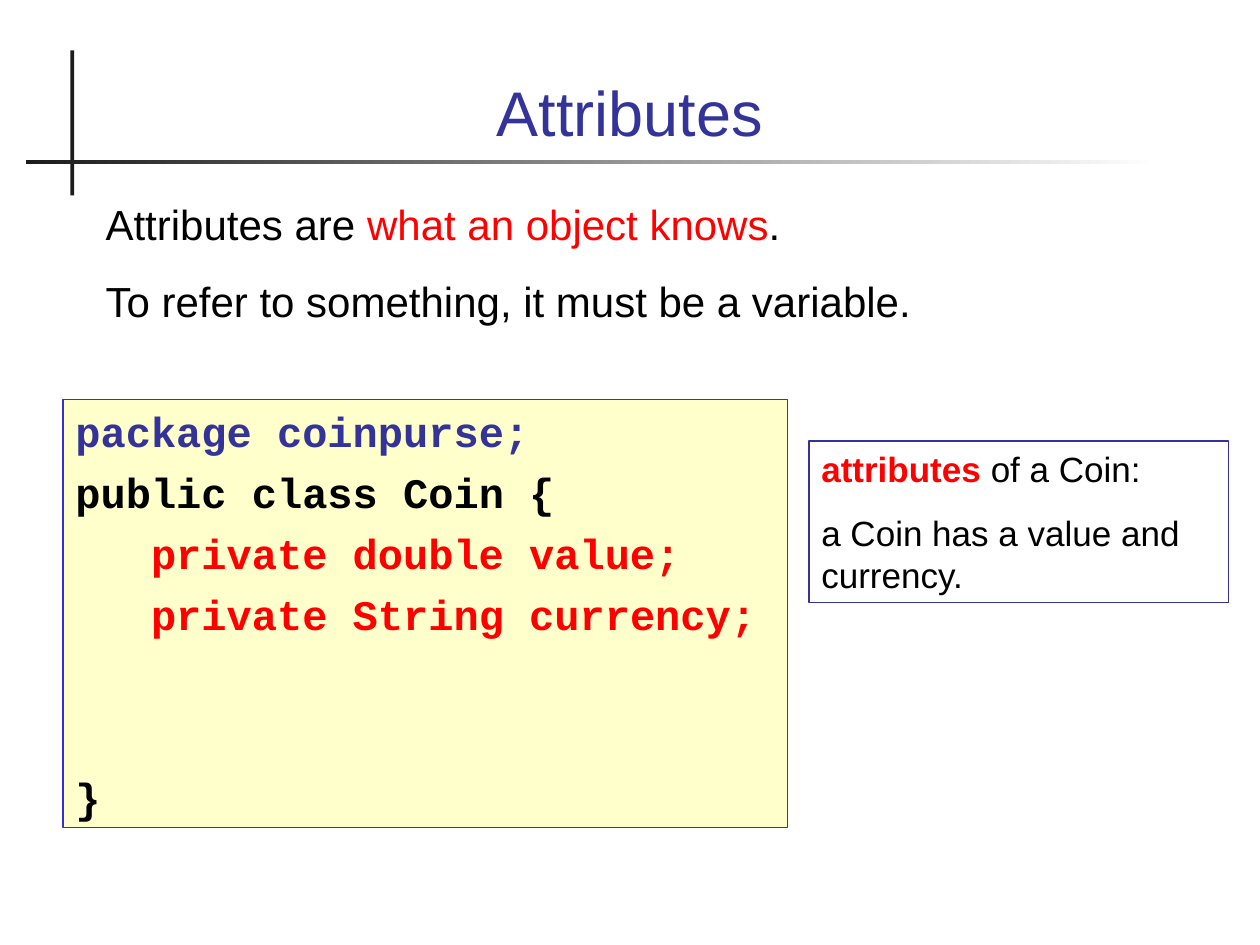
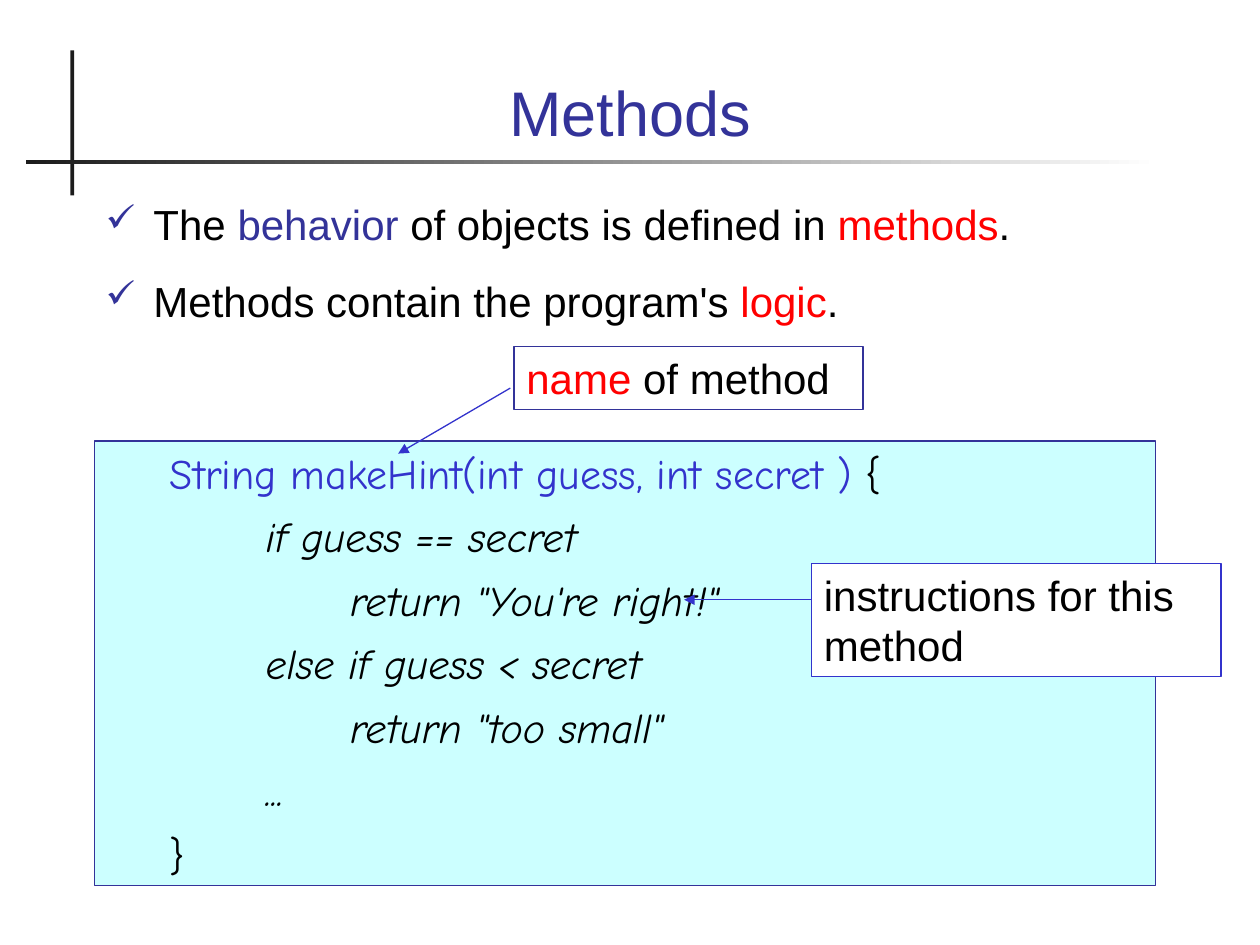
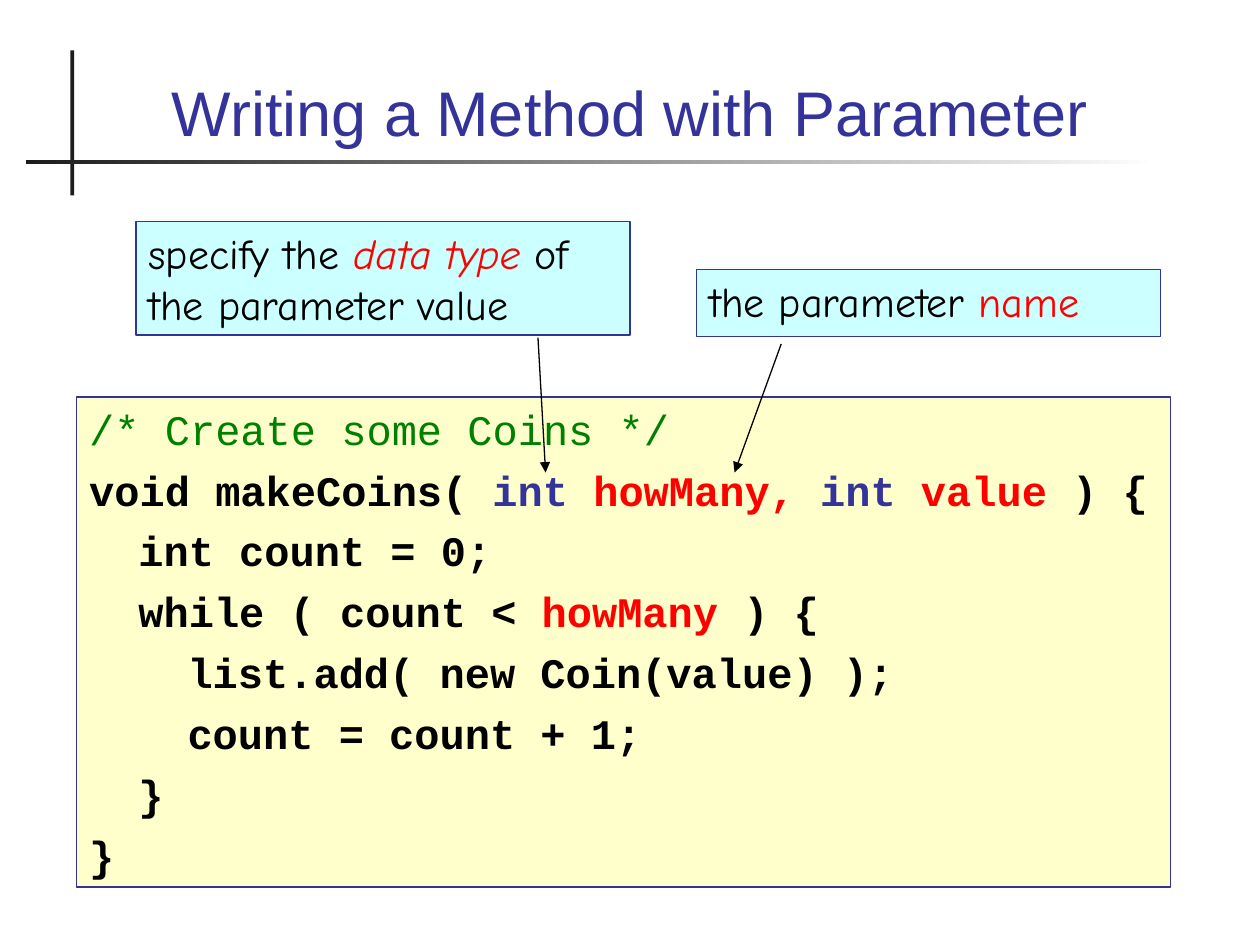
from lxml import etree
from pptx import Presentation
from pptx import util as u
from pptx.dml import color
from pptx.enum import shapes, text
from pptx.oxml import ns

COLORS = {
    "ink": "000000", "rail": "1C1C1C", "white": "FFFFFF", "navy": "333399",
    "blue": "3333CC", "red": "FF0000", "green": "008000",
    "cream": "FFFFCC", "aqua": "CCFFFF",
}
# Text styles: base font values plus the gap between paragraphs
TITLE = {"name": "Arial", "size": 36, "color": "navy", "gap": 0}
BODY = {"name": "Arial", "size": 24, "color": "ink", "gap": 15}
NOTE = {**BODY, "size": 20, "gap": 12.5}
CODE = {"name": "Courier New", "size": 24, "bold": True, "color": "ink", "gap": 6}
HAND = {"name": "Comic Neue", "size": 24, "color": "ink", "gap": 15}
LEADING = 1.2
LINE_WIDTH = 0.75


def rgb(name):
    return color.RGBColor.from_string(COLORS[name])


def add_xml(parent, tag, **attributes):
    return etree.SubElement(parent, ns.qn(tag), attributes)


def line(*spans, **layout):
    """One paragraph: spans are strings or (string, font values) pairs."""
    return [span if isinstance(span, tuple) else (span, {}) for span in spans], layout


def tint(words, name, **values):
    return words, {"color": name, **values}


class SlideBuilder:
    def __init__(self):
        self.deck = Presentation()
        self.deck.slide_width = u.Inches(10)
        self.deck.slide_height = u.Inches(7.5)
        self.page = None

    def new_page(self, title):
        self.page = self.deck.slides.add_slide(self.deck.slide_layouts[6])
        # Crossed rails beside and below the title
        self.rect(0.56, 0.4, 0.03, 1.15, fill="rail")
        rail = self.rect(0.21, 1.27, 8.99, 0.03)
        rail.fill.gradient()
        rail.fill.gradient_angle = 180
        for stop, name in zip(rail.fill.gradient_stops, ("white", "rail")):
            stop.color.rgb = rgb(name)
        box = self.text_box(0.67, 0.28, 8.66, 0.95, TITLE, [line(title)])
        box.text_frame.vertical_anchor = text.MSO_ANCHOR.BOTTOM
        box.text_frame.paragraphs[0].alignment = text.PP_ALIGN.CENTER

    def rect(self, left, top, width, height, fill=None, border=None):
        box = self.page.shapes.add_shape(
            shapes.MSO_SHAPE.RECTANGLE, *map(u.Inches, (left, top, width, height)))
        box.shadow.inherit = False
        if fill:
            box.fill.solid()
            box.fill.fore_color.rgb = rgb(fill)
        else:
            box.fill.background()
        if border:
            box.line.color.rgb = rgb(border)
            box.line.width = u.Pt(LINE_WIDTH)
        else:
            box.line.fill.background()
        return box

    def text_box(self, left, top, width, height, style, lines):
        box = self.page.shapes.add_textbox(*map(u.Inches, (left, top, width, height)))
        self.fill_text(box, style, lines)
        return box

    def panel(self, left, top, width, height, style, lines, fill=None, border="navy"):
        box = self.rect(left, top, width, height, fill, border)
        box.text_frame.vertical_anchor = text.MSO_ANCHOR.TOP
        self.fill_text(box, style, lines)

    def fill_text(self, box, style, lines):
        frame = box.text_frame
        frame.word_wrap = True
        for index, (spans, layout) in enumerate(lines):
            para = frame.add_paragraph() if index else frame.paragraphs[0]
            para.alignment = text.PP_ALIGN.LEFT
            para.line_spacing = u.Pt(style["size"] * LEADING)
            para.space_before = u.Pt(layout.get("gap", style["gap"]) if index else 0)
            if "indent" in layout:
                self.indent(para, layout["indent"])
            if layout.get("check"):
                self.check_mark(para)
            for words, changes in spans:
                span = para.add_run()
                span.text = words
                self.style_font(span.font, {**style, **changes})

    def style_font(self, font, values):
        font.color.rgb = rgb(values["color"])
        font.size = u.Pt(values["size"])
        for key in ("name", "bold", "italic"):
            setattr(font, key, values.get(key, False))

    def indent(self, para, margin, first=0):
        properties = para._p.get_or_add_pPr()
        properties.set("marL", str(u.Inches(margin)))
        properties.set("indent", str(u.Inches(first)))

    def check_mark(self, para):
        self.indent(para, 0.38, -0.38)
        properties = para._p.get_or_add_pPr()
        add_xml(add_xml(properties, "a:buClr"), "a:srgbClr", val=COLORS["navy"])
        add_xml(properties, "a:buSzPct", val="90000")
        add_xml(properties, "a:buChar", char="✓")

    def arrow(self, x1, y1, x2, y2, name):
        arrow = self.page.shapes.add_connector(
            shapes.MSO_CONNECTOR.STRAIGHT, *map(u.Inches, (x1, y1, x2, y2)))
        arrow.line.color.rgb = rgb(name)
        arrow.line.width = u.Pt(LINE_WIDTH)
        add_xml(arrow.line._get_or_add_ln(), "a:tailEnd", type="triangle")
        add_xml(arrow._element.spPr, "a:effectLst")


def attributes_page(builder):
    builder.new_page("Attributes")
    builder.panel(6.42, 3.5, 3.33, 1.28, NOTE, [
        line(tint("attributes", "red", bold=True), " of a Coin:"),
        line("a Coin has a value and currency."),
    ], fill="white")
    builder.text_box(0.74, 1.53, 8.66, 1.47, BODY, [
        line("Attributes are ", tint("what an object knows", "red"), "."),
        line("To refer to something, it must be a variable."),
    ])
    # The closing brace leaves room for two more lines of code
    room = 3 * CODE["gap"] + 2 * CODE["size"] * LEADING
    builder.panel(0.5, 3.17, 5.75, 3.4, CODE, [
        line(tint("package coinpurse;", "navy")),
        line("public class Coin {"),
        line("   ", tint("private double value;", "red")),
        line(tint("   private String currency;", "red")),
        line("}", gap=room),
    ], fill="cream", border="blue")


def methods_page(builder):
    builder.new_page("Methods")
    builder.text_box(0.74, 1.53, 8.66, 1.14, BODY, [
        line("The ", tint("behavior", "navy"), " of objects is defined in ",
             tint("methods", "red"), ".", check=True),
        line("Methods contain the program's ", tint("logic", "red"), ".", check=True),
    ])
    # Pseudocode, indented by nesting level
    outer, inner, deep = 0.5, 1.26, 1.93
    steps = [(inner, "if guess == secret"), (deep, "return \"You're right!\""),
             (inner, "else if guess < secret"), (deep, 'return "too small"'),
             (inner, "...")]
    builder.panel(0.75, 3.5, 8.42, 3.53, {**HAND, "gap": 7.5}, [
        line(tint("String makeHint(int guess, int secret )", "blue"), " {", indent=outer),
        *[line((step, {"italic": True}), indent=level) for level, step in steps],
        line("}", indent=outer),
    ], fill="aqua")
    # Callouts
    builder.panel(4.08, 2.75, 2.77, 0.5, BODY, [line(tint("name", "red"), " of method")])
    builder.arrow(4.05, 3.08, 3.16, 3.6, "blue")
    builder.panel(6.44, 4.47, 3.25, 0.9, BODY, [line("instructions for this method")],
                  fill="white", border="blue")
    builder.arrow(6.44, 4.76, 5.43, 4.76, "blue")


def parameter_page(builder):
    builder.new_page("Writing a Method with Parameter")
    builder.panel(5.53, 2.14, 3.68, 0.53, HAND,
                  [line("the parameter ", tint("name", "red"))], fill="aqua")
    # Code, indented by nesting level
    step = 0.39
    builder.panel(0.61, 3.15, 8.68, 3.89, CODE, [
        line(tint("/* Create some Coins */", "green", bold=False)),
        line("void makeCoins( ", tint("int ", "navy"), tint("howMany, ", "red"),
             tint("int", "navy"), tint(" value", "red"), " ) {"),
        line("int count = 0;", indent=step),
        line("while ( count < ", tint("howMany", "red"), " ) {", indent=step),
        line("list.add( new Coin(value) );", indent=2 * step),
        line("count = count + 1;", indent=2 * step),
        line("}", indent=step),
        line("}"),
    ], fill="cream")
    # Callouts
    builder.panel(1.08, 1.76, 3.92, 0.9, HAND, [
        line("specify the ", tint("data type", "red", italic=True),
             " of the parameter value"),
    ], fill="aqua")
    builder.arrow(4.27, 2.68, 4.33, 3.75, "ink")
    builder.arrow(6.2, 2.73, 5.83, 3.75, "ink")


def main():
    builder = SlideBuilder()
    for build_page in (attributes_page, methods_page, parameter_page):
        build_page(builder)
    builder.deck.save("out.pptx")


if __name__ == "__main__":
    main()
